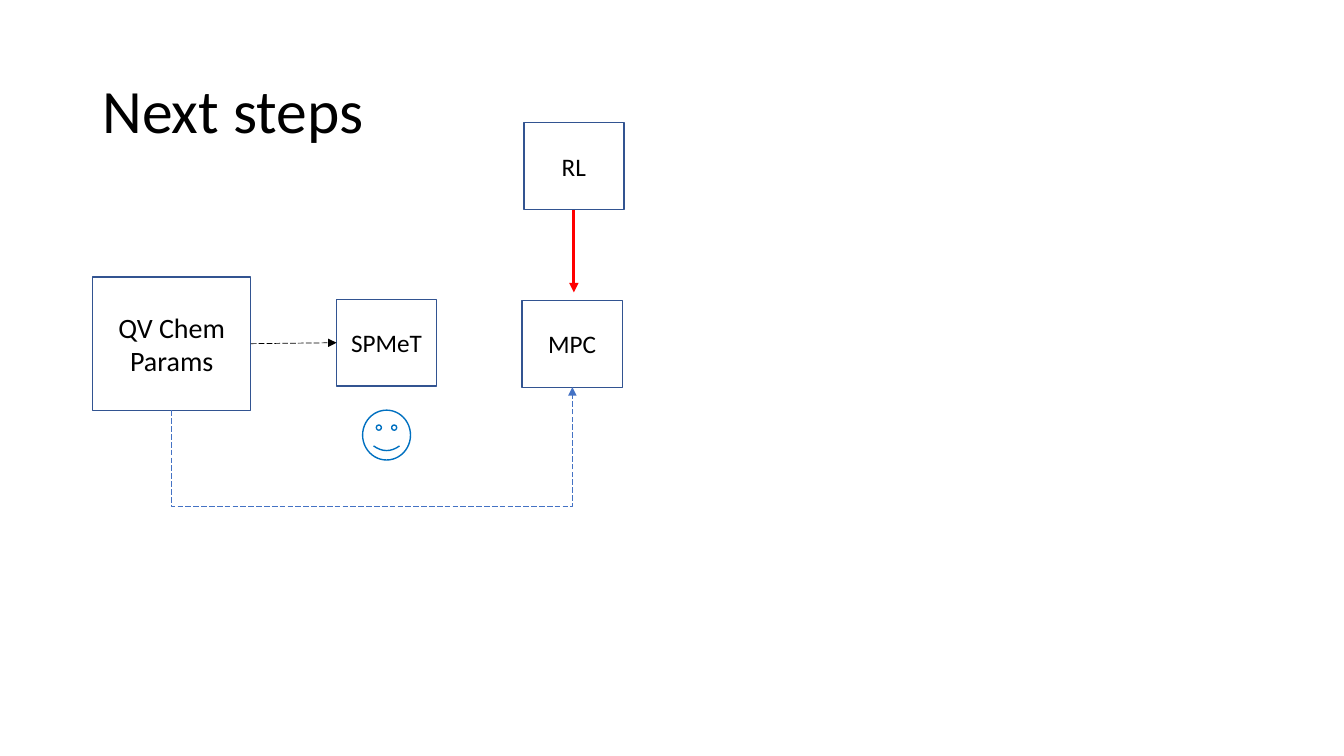
"""Builds the "Next steps" slide: a small block diagram of the control workflow."""
from lxml import etree
from pptx import Presentation
from pptx import util as u
from pptx.dml.color import RGBColor
from pptx.enum import dml, shapes, text
from pptx.oxml.ns import qn

BLACK = RGBColor(0x00, 0x00, 0x00)
NAVY = RGBColor(0x32, 0x54, 0x91)
BLUE = RGBColor(0x44, 0x72, 0xC4)
SKY = RGBColor(0x00, 0x70, 0xC0)
RED = RGBColor(0xFF, 0x00, 0x00)


class Diagram:
    font_name = "Calibri"

    def __init__(self, slide):
        self.slide = slide

    def style(self, paragraph, size, align):
        paragraph.alignment = align
        paragraph.font.name = self.font_name
        paragraph.font.size = u.Pt(size)
        paragraph.font.color.rgb = BLACK

    def title(self, wording, left, top, width, height):
        heading = self.slide.shapes.title
        heading.left, heading.top = u.Pt(left), u.Pt(top)
        heading.width, heading.height = u.Pt(width), u.Pt(height)
        frame = heading.text_frame
        frame.text = wording
        frame.auto_size = text.MSO_AUTO_SIZE.NONE
        frame.vertical_anchor = text.MSO_ANCHOR.MIDDLE
        frame.paragraphs[0].line_spacing = 0.9
        self.style(frame.paragraphs[0], 44, text.PP_ALIGN.LEFT)

    def outline(self, kind, left, top, width, height, color):
        figure = self.slide.shapes.add_shape(
            kind, u.Pt(left), u.Pt(top), u.Pt(width), u.Pt(height))
        figure.shadow.inherit = False
        figure.fill.background()
        figure.line.color.rgb = color
        figure.line.width = u.Pt(1)
        return figure

    def block(self, wording, left, top, width=71.5, height=62, size=18):
        frame = self.outline(shapes.MSO_SHAPE.RECTANGLE, left, top, width, height, NAVY).text_frame
        frame.text = wording
        frame.word_wrap = True
        frame.vertical_anchor = text.MSO_ANCHOR.MIDDLE
        self.style(frame.paragraphs[0], size, text.PP_ALIGN.CENTER)

    def arrow(self, start, end, color, width=0.5, dashed=True,
              kind=shapes.MSO_CONNECTOR.STRAIGHT):
        link = self.slide.shapes.add_connector(kind, *(u.Pt(n) for n in (*start, *end)))
        link.line.color.rgb = color
        link.line.width = u.Pt(width)
        if dashed:
            link.line.dash_style = dml.MSO_LINE.LONG_DASH
        properties = link._element.spPr
        etree.SubElement(properties.find(qn("a:ln")), qn("a:tailEnd"), type="triangle")
        etree.SubElement(properties, qn("a:effectLst"))
        return properties

    def loop_below(self, start, end, lowest, color):
        """Draws a U-shaped arrow as an elbow turned by 90 degrees."""
        middle_x, middle_y = (start[0] + end[0]) / 2, (start[1] + end[1]) / 2
        half_span, half_rise = (end[0] - start[0]) / 2, (start[1] - end[1]) / 2
        properties = self.arrow(
            (middle_x + half_rise, middle_y + half_span),
            (middle_x - half_rise, middle_y - half_span),
            color, kind=shapes.MSO_CONNECTOR.ELBOW)
        properties.find(qn("a:xfrm")).set("rot", "5400000")
        bend = round((start[1] - lowest) / (2 * half_rise) * 100000)
        geometry = properties.find(qn("a:prstGeom"))
        adjustments = geometry.find(qn("a:avLst"))
        if adjustments is None:
            adjustments = etree.SubElement(geometry, qn("a:avLst"))
        etree.SubElement(adjustments, qn("a:gd"), name="adj1", fmla=f"val {bend}")


deck = Presentation()
deck.slide_width, deck.slide_height = u.Pt(960), u.Pt(540)
diagram = Diagram(deck.slides.add_slide(deck.slide_layouts[5]))

diagram.title("Next steps", 66, 28.8, 828, 104.4)
diagram.block("SPMeT", 240.4, 213.8)
diagram.block("QV Chem Params", 66.2, 198, 113, 95.2, size=20)
diagram.arrow((179.2, 245.5), (240.4, 244.8), BLACK)
diagram.block("MPC", 373, 214.6)
diagram.outline(shapes.MSO_SHAPE.SMILEY_FACE, 259, 293, 34.2, 35.6, SKY)
diagram.arrow((409.9, 149.6), (409.9, 208.8), RED, width=2.25, dashed=False)
diagram.loop_below((122.6, 293.2), (408.9, 276.6), 361.9, BLUE)
diagram.block("RL", 374.2, 87.6)

deck.save("out.pptx")
